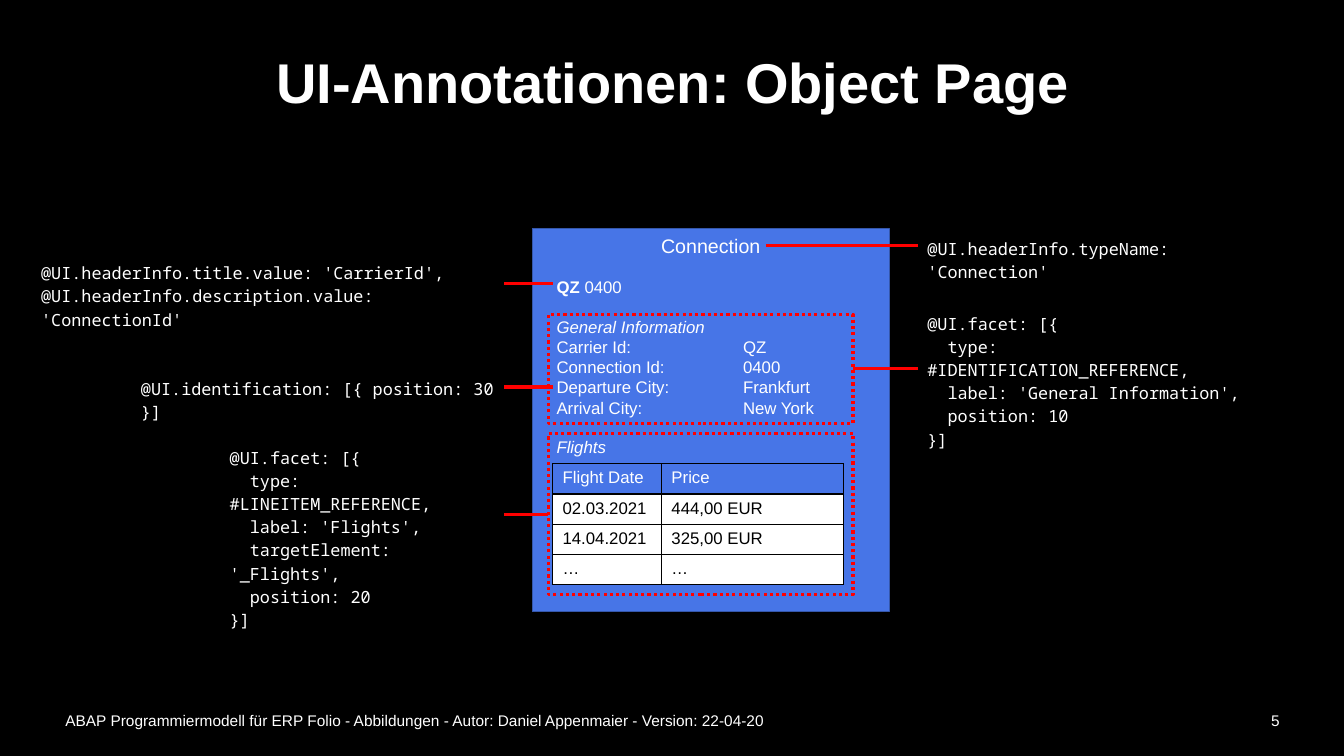
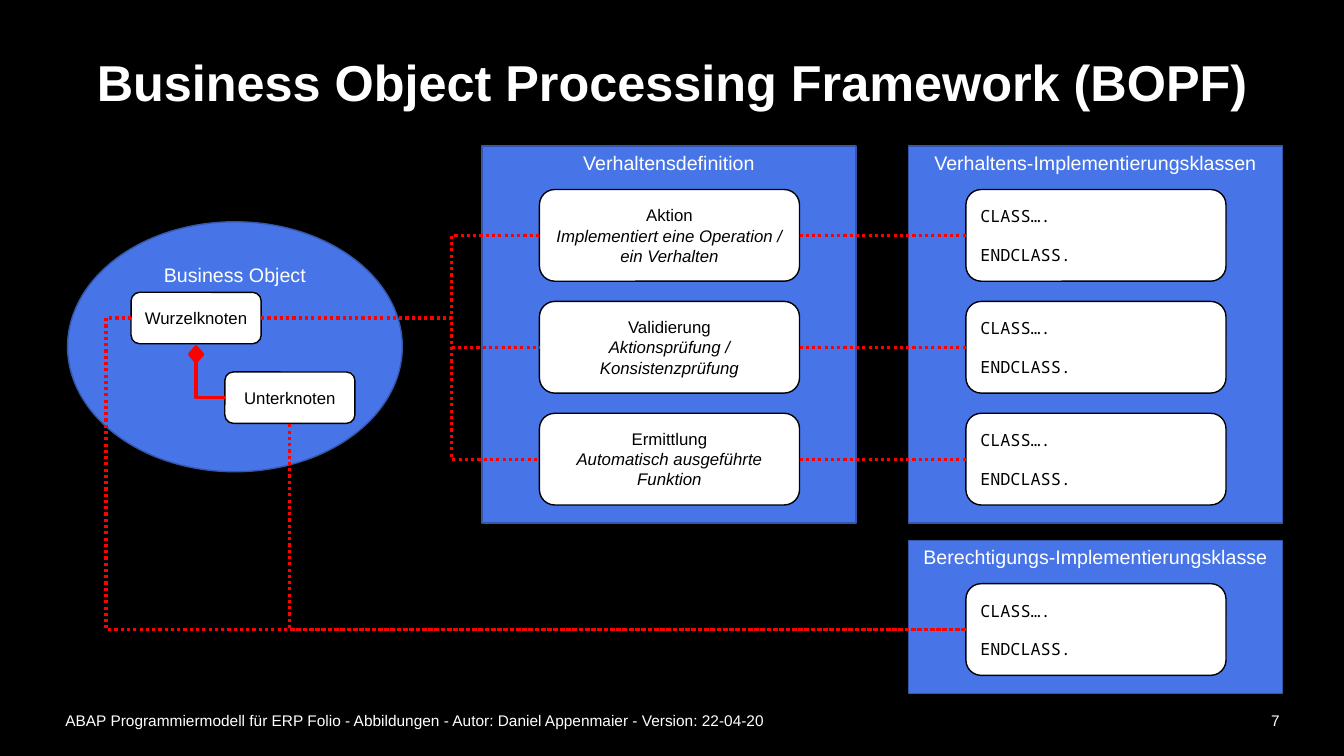
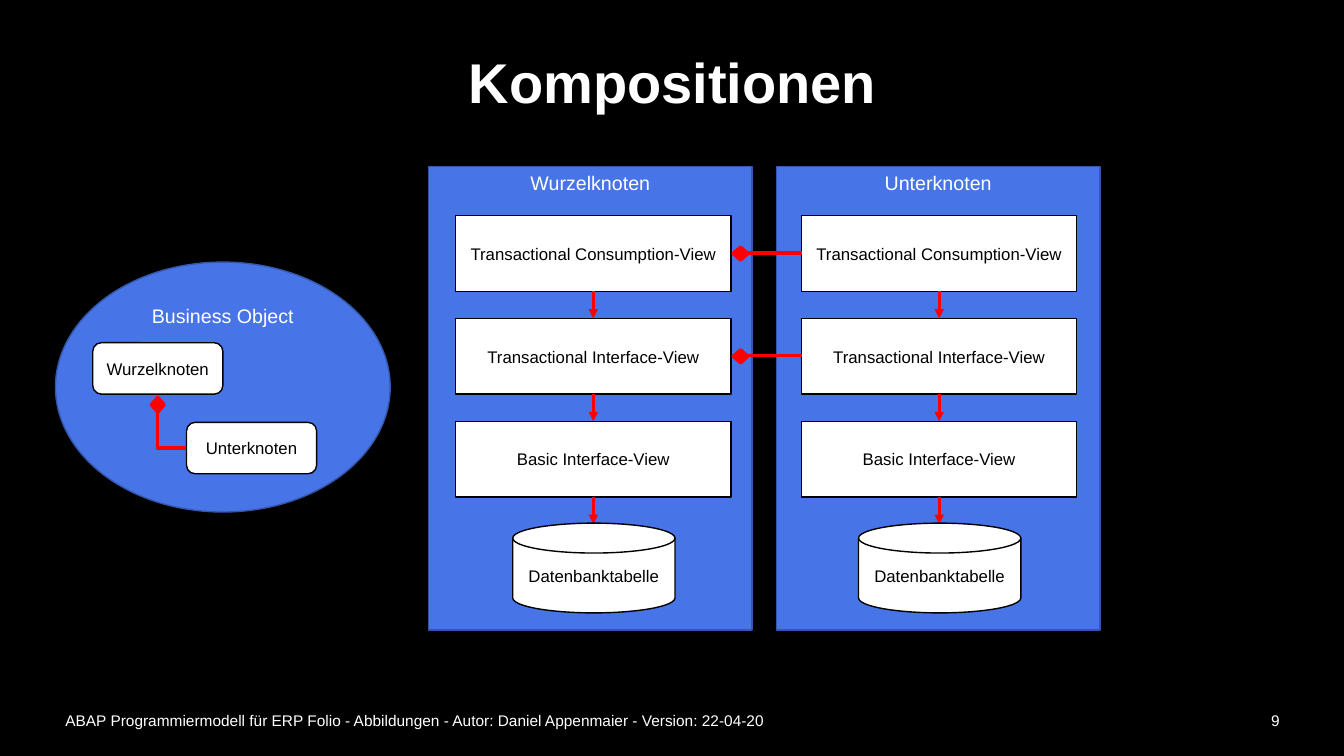
from dataclasses import dataclass, field
from typing import Any
from copy import deepcopy

from pptx import Presentation
from pptx.dml.color import RGBColor as RGB
from pptx.enum.dml import MSO_LINE as Dash
from pptx.enum.shapes import MSO_CONNECTOR as Conn, MSO_SHAPE as Kind
from pptx.enum.text import MSO_ANCHOR as Anchor, MSO_AUTO_SIZE as Fit, PP_ALIGN as Align
from pptx.oxml.ns import qn
from pptx.oxml.xmlchemy import OxmlElement as make
from pptx.util import Inches, Pt

BLACK, WHITE, RED = "000000", "FFFFFF", "FF0000"
BLUE, EDGE = "4775E7", "3557AB"
SANS, MONO = "Arial", "Noto Sans Mono"
FOOT = ("ABAP Programmiermodell für ERP Folio - Abbildungen - "
        "Autor: Daniel Appenmaier - Version: 22-04-20")
TOP, LEFT, BASE, RIGHT = range(4)  # connection sites


@dataclass
class Span:
    text: str
    style: dict[str, Any] = field(default_factory=dict)


@dataclass
class Para:
    spans: list[Span]
    form: dict[str, Any] = field(default_factory=dict)
    tab: float = 0


@dataclass
class Area:
    x: float
    y: float
    w: float
    h: float

    def lens(self) -> list[int]:
        return [Inches(v) for v in (self.x, self.y, self.w, self.h)]

    def site(self, side: int) -> tuple[float, float]:
        mid, cen = self.x + self.w / 2, self.y + self.h / 2
        return [(mid, self.y), (self.x, cen),
                (mid, self.y + self.h), (self.x + self.w, cen)][side]


@dataclass
class Node:
    area: Area
    shape: Any


@dataclass
class Code:
    area: Area
    text: str


def tint(code: str) -> RGB:
    return RGB.from_string(code)


def apply(item: Any, form: dict[str, Any]) -> None:
    for name, value in form.items():
        setattr(item, name, value)


def line(text: str, form: dict[str, Any] | None = None, tab: float = 0, **style: Any) -> Para:
    return Para([Span(text, style)], form or {}, tab)


# --- text ---------------------------------------------------------------
def write(frame: Any, paras: list[Para], size: float = 12, color: str = WHITE,
          name: str = SANS, align: Any = Align.LEFT, **form: Any) -> None:
    apply(frame, {"word_wrap": True, **form})
    for i, para in enumerate(paras):
        p = frame.paragraphs[0] if i == 0 else frame.add_paragraph()
        if para.tab:
            tabs = make("a:tabLst")
            stop = make("a:tab")
            stop.set("pos", str(Inches(para.tab)))
            stop.set("algn", "l")
            tabs.append(stop)
            p._p.get_or_add_pPr().append(tabs)
        apply(p, {"alignment": align, **para.form})
        for span in para.spans:
            for j, part in enumerate(span.text.split("\n")):
                if j:
                    p.add_line_break()
                run = p.add_run()
                run.text = part
                apply(run.font, {"size": Pt(size), "name": name, **span.style})
                run.font.color.rgb = tint(color)
        # Breaks take the text format, so that lines keep their height
        for br in p._p.findall(qn("a:br")):
            br.append(deepcopy(p.runs[0].font._element))


def label(slide: Any, area: Area, paras: list[Para], **form: Any) -> None:
    box = slide.shapes.add_textbox(*area.lens())
    write(box.text_frame, paras, **form)


# --- shapes -------------------------------------------------------------
def draw(slide: Any, kind: Any, area: Area, fill: str | None, edge: str,
         width: float = 1, dash: Any = None, turn: float = 0) -> Node:
    shape = slide.shapes.add_shape(kind, *area.lens())
    apply(shape, {"rotation": turn})
    shape.shadow.inherit = False
    if fill:
        shape.fill.solid()
        shape.fill.fore_color.rgb = tint(fill)
    else:
        shape.fill.background()
    shape.line.color.rgb = tint(edge)
    apply(shape.line, {"width": Pt(width), "dash_style": dash})
    return Node(area, shape)


def panel(slide: Any, area: Area, title: str, kind: Any = Kind.RECTANGLE) -> None:
    node = draw(slide, kind, area, BLUE, EDGE)
    write(node.shape.text_frame, [line(title)], size=14, align=Align.CENTER,
          vertical_anchor=Anchor.TOP)


def card(slide: Any, area: Area, paras: list[Para], kind: Any = Kind.ROUNDED_RECTANGLE,
         **form: Any) -> Node:
    node = draw(slide, kind, area, WHITE, BLACK)
    write(node.shape.text_frame, paras, color=BLACK, vertical_anchor=Anchor.MIDDLE,
          **{"align": Align.CENTER, **form})
    return node


def gem(slide: Any, x: float, y: float, turn: float = 0) -> Node:
    return draw(slide, Kind.DIAMOND, Area(x, y, 0.13, 0.15), RED, RED, 2.25, turn=turn)


# --- lines --------------------------------------------------------------
def link(slide: Any, a: tuple[float, float], b: tuple[float, float],
         kind: Any = Conn.STRAIGHT, dash: Any = None, arrow: bool = False) -> Any:
    wire = slide.shapes.add_connector(kind, *[Inches(v) for v in (*a, *b)])
    wire.line.color.rgb = tint(RED)
    apply(wire.line, {"width": Pt(2.25), "dash_style": dash})
    if arrow:
        tip = make("a:tailEnd")
        tip.set("type", "triangle")
        wire.line._get_or_add_ln().append(tip)
    wire.element.spPr.append(make("a:effectLst"))
    return wire


def bend(slide: Any, a: Node, side: int, b: Node, goal: int,
         via: float | None = None, dash: Any = None) -> None:
    """Elbow with a middle leg at x = via, or a single corner without it."""
    start, end = a.area.site(side), b.area.site(goal)
    wire = link(slide, start, end, Conn.ELBOW, dash)
    geom = wire.element.spPr.find(qn("a:prstGeom"))
    if via is None:
        geom.set("prst", "bentConnector2")
    else:
        ratio = (via - start[0]) / (end[0] - start[0])
        guide = make("a:gd")
        guide.set("name", "adj1")
        guide.set("fmla", f"val {round(ratio * 100000)}")
        geom.get_or_add_avLst().append(guide)
    wire.begin_connect(a.shape, side)
    wire.end_connect(b.shape, goal)


# --- parts shared by slides ---------------------------------------------
def start(deck: Any, title: str, page: int, size: float = 40) -> Any:
    slide = deck.slides.add_slide(deck.slide_layouts[5])
    head = slide.shapes.title
    apply(head, dict(zip(("left", "top", "width", "height"),
                         Area(0.55, 0.25, 12.24, 1.2).lens())))
    write(head.text_frame, [line(title, {"line_spacing": 0.9}, bold=True)], size=size,
          align=Align.CENTER, vertical_anchor=Anchor.MIDDLE, auto_size=Fit.NONE)
    for x, w, text, align in ((0.55, 11.44, FOOT, Align.LEFT),
                              (11.99, 0.8, str(page), Align.RIGHT)):
        label(slide, Area(x, 6.95, w, 0.4), [line(text)], size=11, align=align,
              vertical_anchor=Anchor.MIDDLE)
    return slide


def model(slide: Any, x: float, y: float) -> tuple[Node, Node]:
    """Business object with its root node and its child node."""
    panel(slide, Area(x, y, 3.32, 2.48), "Business Object", Kind.OVAL)
    root, child = (card(slide, Area(x + dx, y + dy, 1.29, 0.51), [line(text)])
                   for dx, dy, text in ((0.63 - 0.26 * (x < 0.6), 0.7 + 0.1 * (x < 0.6), "Wurzelknoten"),
                                        (1.56 - 0.26 * (x < 0.6), 1.49 + 0.1 * (x < 0.6), "Unterknoten")))
    spot = root.area
    mark = gem(slide, spot.x + 0.58, spot.y + 0.54)
    bend(slide, child, LEFT, mark, BASE)
    return root, child


# --- slides -------------------------------------------------------------
NOTES = [
    Code(Area(9.1, 2.29, 3.68, 0.32), "@UI.headerInfo.typeName: 'Connection'"),
    Code(Area(9.1, 3.03, 3.34, 1.25),
         "@UI.facet: [{\n  type: #IDENTIFICATION_REFERENCE,\n"
         "  label: 'General Information',\n  position: 10\n}]"),
    Code(Area(1.3, 3.68, 3.7, 0.32), "@UI.identification: [{ position: 30 }]"),
    Code(Area(0.31, 2.53, 4.69, 0.55),
         "@UI.headerInfo.title.value: 'CarrierId',\n"
         "@UI.headerInfo.description.value: 'ConnectionId'"),
    Code(Area(2.18, 4.36, 2.81, 1.48),
         "@UI.facet: [{\n  type: #LINEITEM_REFERENCE,\n  label: 'Flights',\n"
         "  targetElement: '_Flights',\n  position: 20\n}]"),
]
FACTS = [("Carrier Id:", "QZ"), ("Connection Id:", "0400"),
         ("Departure City:", "Frankfurt"), ("Arrival City:", "New York")]
FLIGHTS = [("Flight Date", "Price"), ("02.03.2021", "444,00 EUR"),
           ("14.04.2021", "325,00 EUR"), ("…", "…")]


def grid(slide: Any, area: Area, rows: list[tuple[str, str]], cols: list[float]) -> None:
    table = slide.shapes.add_table(len(rows), len(cols), *area.lens()).table
    apply(table, {"first_row": False, "horz_banding": False})
    for col, w in zip(table.columns, cols):
        col.width = Inches(w)
    for r, row in enumerate(rows):
        table.rows[r].height = Inches(area.h / len(rows))
        for c, text in enumerate(row):
            cell = table.cell(r, c)
            write(cell.text_frame, [line(text)], color=BLACK if r else WHITE)
            prop = cell._tc.get_or_add_tcPr()
            for tag in ("a:lnL", "a:lnR", "a:lnT", "a:lnB"):
                rim, ink, hue = make(tag), make("a:solidFill"), make("a:srgbClr")
                rim.set("w", str(Pt(1)))
                hue.set("val", BLACK)
                ink.append(hue)
                rim.append(ink)
                prop.append(rim)
            if r:
                cell.fill.solid()
                cell.fill.fore_color.rgb = tint(WHITE)
            else:
                cell.fill.background()


def page_view(deck: Any) -> None:
    slide = start(deck, "UI-Annotationen: Object Page", 5)
    gap = {"space_before": Pt(14)}
    body = draw(slide, Kind.RECTANGLE, Area(5.28, 2.27, 3.54, 3.8), BLUE, EDGE)
    head = Para([Span("Connection", {"size": Pt(14)})], {"alignment": Align.CENTER})
    write(body.shape.text_frame, [
        head,
        Para([Span("QZ", {"bold": True}), Span(" 0400")], gap),
        line("General Information", gap, italic=True),
        *[line(f"{key}\t{value}", tab=1.85) for key, value in FACTS],
        line("Flights", gap, italic=True),
    ], vertical_anchor=Anchor.TOP, margin_left=Inches(0.24), margin_right=Inches(0.24))
    for note in NOTES:
        label(slide, note.area,
              [line(note.text, {"line_spacing": 1.15, "space_after": Pt(8)})],
              name=MONO, auto_size=Fit.SHAPE_TO_FIT_TEXT)
    grid(slide, Area(5.48, 4.6, 2.89, 1.2), FLIGHTS, [1.08, 1.81])
    for y, h in ((3.12, 1.08), (4.3, 1.6)):
        draw(slide, Kind.RECTANGLE, Area(5.44, y, 3.02, h), None, RED, 2.25, Dash.ROUND_DOT)
    for x, end, y in ((9.1, 8.46, 3.66), (9.1, 7.6, 2.44), (5, 5.48, 3.84),
                      (5, 5.48, 2.81), (5, 5.44, 5.1)):
        link(slide, (x, y), (end, y))


TASKS = [("Aktion", "Implementiert eine Operation / ein Verhalten"),
         ("Validierung", "Aktionsprüfung / Konsistenzprüfung"),
         ("Ermittlung", "Automatisch ausgeführte Funktion")]


def stub(slide: Any, y: float) -> Node:
    """Card with an empty class."""
    return card(slide, Area(9.58, y, 2.58, 0.91),
                [line("CLASS…."), line("ENDCLASS.", {"space_before": Pt(13)})],
                name=MONO, align=Align.LEFT)


def frame_view(deck: Any) -> None:
    slide = start(deck, "Business Object Processing Framework (BOPF)", 7, 36)
    root, child = model(slide, 0.67, 2.2)
    for x, y, h, title in ((4.78, 1.45, 3.74, "Verhaltensdefinition"),
                           (9.01, 1.45, 3.74, "Verhaltens-Implementierungsklassen"),
                           (9.01, 5.36, 1.52, "Berechtigungs-Implementierungsklasse")):
        panel(slide, Area(x, y, 3.71, h), title)
    dots = Dash.ROUND_DOT
    for i, (name, text) in enumerate(TASKS):
        y = 1.88 + 1.11 * i
        task = card(slide, Area(5.35, y, 2.58, 0.91), [line(name), line(text, italic=True)])
        work = stub(slide, y)
        bend(slide, root, RIGHT, task, LEFT, 4.48, dots)
        link(slide, task.area.site(RIGHT), work.area.site(LEFT), dash=dots)
    guard = stub(slide, 5.79)
    bend(slide, root, LEFT, guard, LEFT, 1.05, dots)
    bend(slide, guard, LEFT, child, BASE, dash=dots)


VIEWS = ["Transactional Consumption-View", "Transactional Interface-View",
         "Basic Interface-View"]


def stack(slide: Any, x: float, left: float, title: str) -> None:
    """Panel with three views above a database table."""
    panel(slide, Area(x, 1.65, 3.21, 4.6), title)
    mid = left + 2.73 / 2
    for i, view in enumerate(VIEWS):
        y = 2.14 + 1.02 * i
        card(slide, Area(left, y, 2.73, 0.75), [line(view)], Kind.RECTANGLE)
        link(slide, (mid, y + 0.75), (mid, y + 1.02), arrow=True)
    card(slide, Area(mid - 0.8, 5.19, 1.61, 0.89), [line("Datenbanktabelle")],
         Kind.FLOWCHART_MAGNETIC_DISK)


def parts_view(deck: Any) -> None:
    slide = start(deck, "Kompositionen", 9)
    model(slide, 0.55, 2.6)
    stack(slide, 4.25, 4.52, "Wurzelknoten")
    stack(slide, 7.7, 7.95, "Unterknoten")
    for y in (2.51, 3.53):
        link(slide, (7.42, y), (7.95, y))
        gem(slide, 7.28, y - 0.07, 270)


def main() -> None:
    deck = Presentation()
    apply(deck, {"slide_width": Inches(13.33), "slide_height": Inches(7.5)})
    ground = deck.slide_master.background.fill
    ground.solid()
    ground.fore_color.rgb = tint(BLACK)
    for build in (page_view, frame_view, parts_view):
        build(deck)
    deck.save("out.pptx")


if __name__ == "__main__":
    main()
